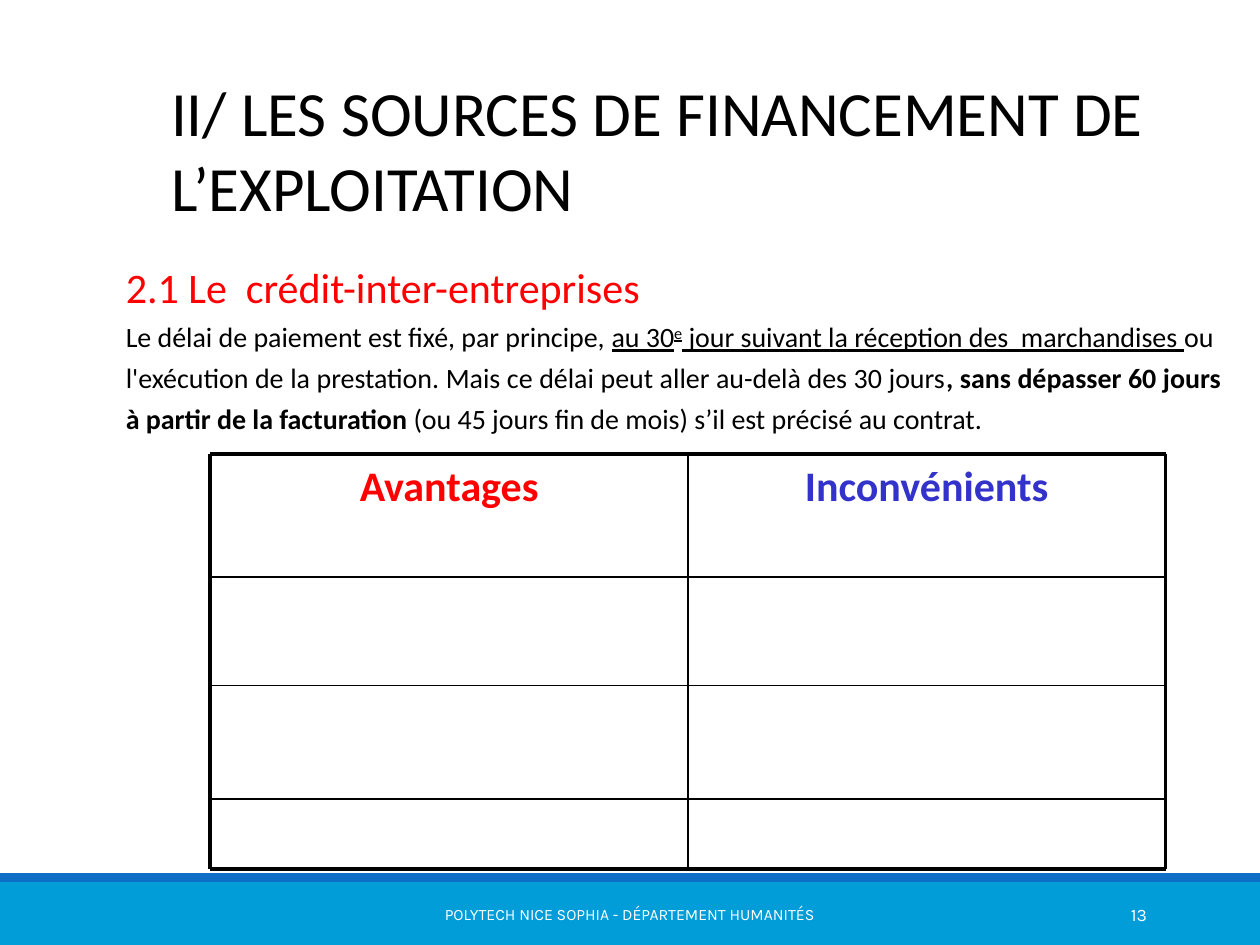
from itertools import accumulate

from lxml import etree
from pptx import Presentation
from pptx.dml.color import RGBColor
from pptx.enum.shapes import MSO_CONNECTOR as Connector, MSO_SHAPE as Shape
from pptx.enum.text import MSO_ANCHOR as Anchor, PP_ALIGN as Align
from pptx.oxml.ns import qn
from pptx.util import Inches, Pt

BLACK, WHITE, RED, BLUE = "000000", "FFFFFF", "FF0000", "3333CC"
GRID_LEFT, GRID_TOP, COLUMN_WIDTH = 1.67, 3.6, 3.79
ROW_HEIGHTS = [0.98, 0.86, 0.9, 0.56]
HEADINGS = [("Avantages", RED), ("Inconvénients", BLUE)]
BODY = [
    [("Le délai de paiement est fixé, par principe, ", ""), ("au 30", "u"), ("e", "us"),
     (" jour suivant la réception des  marchandises ", "u"), ("ou ", "")],
    [("l'exécution de la prestation. Mais ce délai peut aller au-delà des 30 jours", ""),
     (", sans dépasser 60 jours ", "b")],
    [("à partir de la facturation ", "b"),
     ("(ou 45 jours fin de mois) s’il est précisé au contrat.", "")],
]


def color(value):
    """Turn a hex string into a colour."""
    return RGBColor.from_string(value)


def style_font(font, size, value, name="Calibri", bold=False):
    """Set size, colour, typeface and weight of a font."""
    font.size, font.name, font.bold = Pt(size), name, bold
    font.color.rgb = color(value)


def add_band(slide, top, height, fill):
    """Add a full-width footer band."""
    shape = slide.shapes.add_shape(Shape.RECTANGLE, 0, Inches(top), Inches(10), Inches(height))
    shape.shadow.inherit = False
    shape.fill.solid()
    shape.fill.fore_color.rgb = color(fill)
    shape.line.fill.background()


def add_text(slide, box, text, size, value, name="Calibri", align=Align.LEFT,
             anchor=Anchor.TOP, bold=False):
    """Add a wrapped text box with one paragraph and return its frame."""
    frame = slide.shapes.add_textbox(*(Inches(length) for length in box)).text_frame
    frame.word_wrap = True
    frame.vertical_anchor = anchor
    frame.text = text
    paragraph = frame.paragraphs[0]
    paragraph.alignment = align
    paragraph.space_after = Pt(0.1)
    style_font(paragraph.runs[0].font, size, value, name, bold)
    return frame


def add_body_paragraph(frame, pieces):
    """Add a justified paragraph whose pieces are marked u, b or s."""
    paragraph = frame.add_paragraph()
    paragraph.alignment = Align.JUSTIFY
    paragraph.space_before, paragraph.space_after = Pt(4.1), Pt(0.1)
    properties = paragraph._p.get_or_add_pPr()
    properties.set("marL", str(Inches(0.37)))
    properties.set("indent", str(-Inches(0.37)))
    for text, marks in pieces:
        run = paragraph.add_run()
        run.text = text
        style_font(run.font, 16, BLACK, bold="b" in marks)
        run.font.underline = "u" in marks
        if "s" in marks:
            run.font._element.set("baseline", "30000")


def add_line(slide, start, end, width):
    """Add a straight black line without a shadow."""
    ends = (Inches(length) for length in (*start, *end))
    connector = slide.shapes.add_connector(Connector.STRAIGHT, *ends)
    connector.line.color.rgb = color(BLACK)
    connector.line.width = Pt(width)
    etree.SubElement(connector._element.spPr, qn("a:effectLst"))


def add_comparison_grid(slide):
    """Add the headings, thin inner rules and thick frame of the comparison."""
    columns = [GRID_LEFT + COLUMN_WIDTH * index for index in range(len(HEADINGS) + 1)]
    rows = list(accumulate(ROW_HEIGHTS, initial=GRID_TOP))
    for left, (heading, value) in zip(columns, HEADINGS):
        add_text(slide, (left, GRID_TOP, COLUMN_WIDTH, ROW_HEIGHTS[0]), heading, 24, value,
                 align=Align.CENTER, bold=True)
    verticals = [((x, rows[0]), (x, rows[-1])) for x in columns]
    horizontals = [((columns[0], y), (columns[-1], y)) for y in rows]
    for start, end in verticals[1:-1] + horizontals[1:-1]:
        add_line(slide, start, end, 1)
    for start, end in verticals[::len(verticals) - 1] + horizontals[::len(horizontals) - 1]:
        add_line(slide, start, end, 2.25)


def main():
    """Build and save the slide."""
    presentation = Presentation()
    presentation.slide_width, presentation.slide_height = Inches(10), Inches(7.5)
    slide = presentation.slides.add_slide(presentation.slide_layouts[6])
    add_band(slide, 7, 0.5, "009DD9")
    add_band(slide, 6.93, 0.07, "0F6FC6")
    add_text(slide, (1.26, 0.23, 8.52, 1.6),
             "II/ LES SOURCES DE FINANCEMENT DE L’EXPLOITATION", 36, BLACK, anchor=Anchor.BOTTOM)
    body = add_text(slide, (0.9, 2.03, 8.89, 4.68), "2.1 Le  crédit-inter-entreprises", 24, RED)
    for pieces in BODY:
        add_body_paragraph(body, pieces)
    add_comparison_grid(slide)
    add_text(slide, (8.12, 7.06, 1.08, 0.4), "13", 10, WHITE, "Karla", Align.RIGHT, Anchor.MIDDLE)
    add_text(slide, (3.02, 7.06, 3.95, 0.4), "POLYTECH NICE SOPHIA - DÉPARTEMENT HUMANITÉS",
             9, WHITE, "Karla", Align.CENTER, Anchor.MIDDLE)
    presentation.save("out.pptx")


if __name__ == "__main__":
    main()
